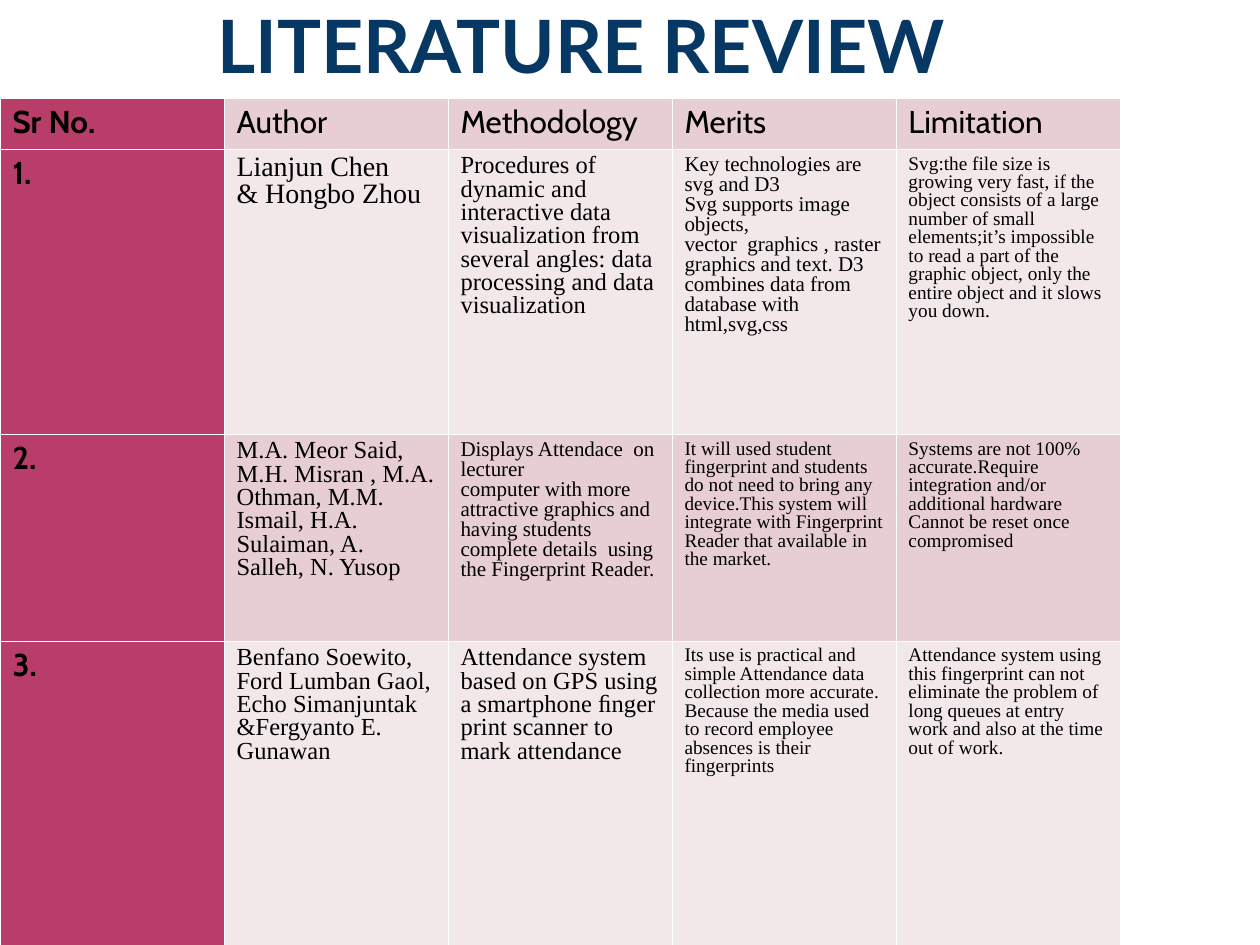
import dataclasses

import lxml.etree
import pptx
import pptx.dml.color
import pptx.enum.text
import pptx.oxml.ns
import pptx.util

PX_PER_INCH = 126


@dataclasses.dataclass(frozen=True)
class Theme:
    title_font: str = "Lato"
    label_font: str = "Cabin"
    body_font: str = "Times New Roman"
    title_color: str = "073763"
    text_color: str = "000000"
    label_fill: str = "B83D68"
    dark_band: str = "E6CED3"
    light_band: str = "F2E8EA"
    border_color: str = "FFFFFF"
    border_pt: float = 0.23
    title_pt: int = 42
    label_pt: int = 18
    label_spacing: float = 0.94
    body_spacing: float = 0.86


THEME = Theme()

HEADERS = ["Sr No.", "Author", "Methodology", "Merits", "Limitation"]
COLUMN_WIDTH = 224
ROW_HEIGHTS = [51, 285, 207, 304]

STUDIES = [
    [
        (16, ["Lianjun Chen", "& Hongbo Zhou"]),
        (14, ["Procedures of dynamic and interactive data visualization from "
              "several angles: data processing and data visualization"]),
        (12, ["Key technologies are svg and D3",
              "Svg supports image objects,",
              "vector  graphics , raster graphics and text. D3 combines data "
              "from database with html,svg,css"]),
        (11, ["Svg:the file size is growing very fast, if the object consists of "
              "a large number of small elements;it’s impossible to read a part of "
              "the graphic object, only the entire object and it slows you down."]),
    ],
    [
        (14, ["M.A. Meor Said, M.H. Misran , M.A. Othman, M.M. Ismail, "
              "H.A. Sulaiman, A. Salleh, N. Yusop"]),
        (12, ["Displays Attendace  on lecturer",
              "computer with more attractive graphics and having students "
              "complete details  using the Fingerprint Reader."]),
        (11, ["It will used student fingerprint and students do not need to bring "
              "any device.This system will integrate with Fingerprint Reader that "
              "available in the market."]),
        (11, ["Systems are not 100% accurate.Require integration and/or "
              "additional hardware",
              "Cannot be reset once compromised"]),
    ],
    [
        (14, ["Benfano Soewito, Ford Lumban Gaol,",
              "Echo Simanjuntak &Fergyanto E. Gunawan"]),
        (14, ["Attendance system based on GPS using a smartphone ﬁnger print "
              "scanner to mark attendance"]),
        (11, ["Its use is practical and simple Attendance data collection more "
              "accurate. Because the media used to record employee absences is "
              "their fingerprints"]),
        (11, ["Attendance system using this fingerprint can not eliminate the "
              "problem of long queues at entry work and also at the time out of "
              "work."]),
    ],
]


def px(n):
    return pptx.util.Emu(round(n * 914400 / PX_PER_INCH))


def rgb(value):
    return pptx.dml.color.RGBColor.from_string(value)


def add_run(p, text, font, size, color, bold=False):
    r = p.add_run()
    r.text = text
    r.font.name = font
    r.font.size = pptx.util.Pt(size)
    r.font.bold = bold
    r.font.color.rgb = rgb(color)


def set_borders(cell):
    tc_pr = cell._tc.get_or_add_tcPr()
    qn = pptx.oxml.ns.qn
    for i, side in enumerate(("a:lnL", "a:lnR", "a:lnT", "a:lnB")):
        ln = lxml.etree.Element(qn(side), w=str(pptx.util.Pt(THEME.border_pt)))
        fill = lxml.etree.SubElement(ln, qn("a:solidFill"))
        lxml.etree.SubElement(fill, qn("a:srgbClr"), val=THEME.border_color)
        tc_pr.insert(i, ln)


def fill_cell(cell, fill, paragraphs, font, size, spacing, bold=False):
    cell.fill.solid()
    cell.fill.fore_color.rgb = rgb(fill)
    set_borders(cell)
    tf = cell.text_frame
    for i, text in enumerate(paragraphs):
        p = tf.add_paragraph() if i else tf.paragraphs[0]
        p.line_spacing = spacing
        add_run(p, text, font, size, THEME.text_color, bold)


def fill_label(cell, fill, text, bold=False):
    fill_cell(cell, fill, [text], THEME.label_font, THEME.label_pt,
              THEME.label_spacing, bold)


def add_title(s, left, top, width, height):
    sp = s.shapes.add_textbox(px(left), px(top), px(width), px(height))
    tf = sp.text_frame
    tf.word_wrap = True
    tf.margin_left = tf.margin_right = pptx.util.Inches(0.05)
    tf.margin_top = tf.margin_bottom = 0
    p = tf.paragraphs[0]
    p.alignment = pptx.enum.text.PP_ALIGN.CENTER
    add_run(p, "LITERATURE REVIEW", THEME.title_font, THEME.title_pt,
            THEME.title_color, True)


def add_review_table(s, left, top):
    table = s.shapes.add_table(
        len(ROW_HEIGHTS), len(HEADERS), px(left), px(top),
        px(COLUMN_WIDTH * len(HEADERS)), px(sum(ROW_HEIGHTS))).table
    for column in table.columns:
        column.width = px(COLUMN_WIDTH)
    for row, height in zip(table.rows, ROW_HEIGHTS):
        row.height = px(height)

    for col, text in enumerate(HEADERS):
        fill = THEME.dark_band if col else THEME.label_fill
        fill_label(table.cell(0, col), fill, text, bold=col == 0)

    for row, study in enumerate(STUDIES, start=1):
        fill_label(table.cell(row, 0), THEME.label_fill, f"{row}.", bold=True)
        band = THEME.light_band if row % 2 else THEME.dark_band
        for col, (size, paragraphs) in enumerate(study, start=1):
            fill_cell(table.cell(row, col), band, paragraphs, THEME.body_font,
                      size, THEME.body_spacing)


def main():
    prs = pptx.Presentation()
    prs.slide_width = px(1260)
    prs.slide_height = px(945)
    s = prs.slides.add_slide(prs.slide_layouts[6])
    add_title(s, 171, 0, 820, 91)
    add_review_table(s, 0, 98)
    prs.save("out.pptx")


if __name__ == "__main__":
    main()
